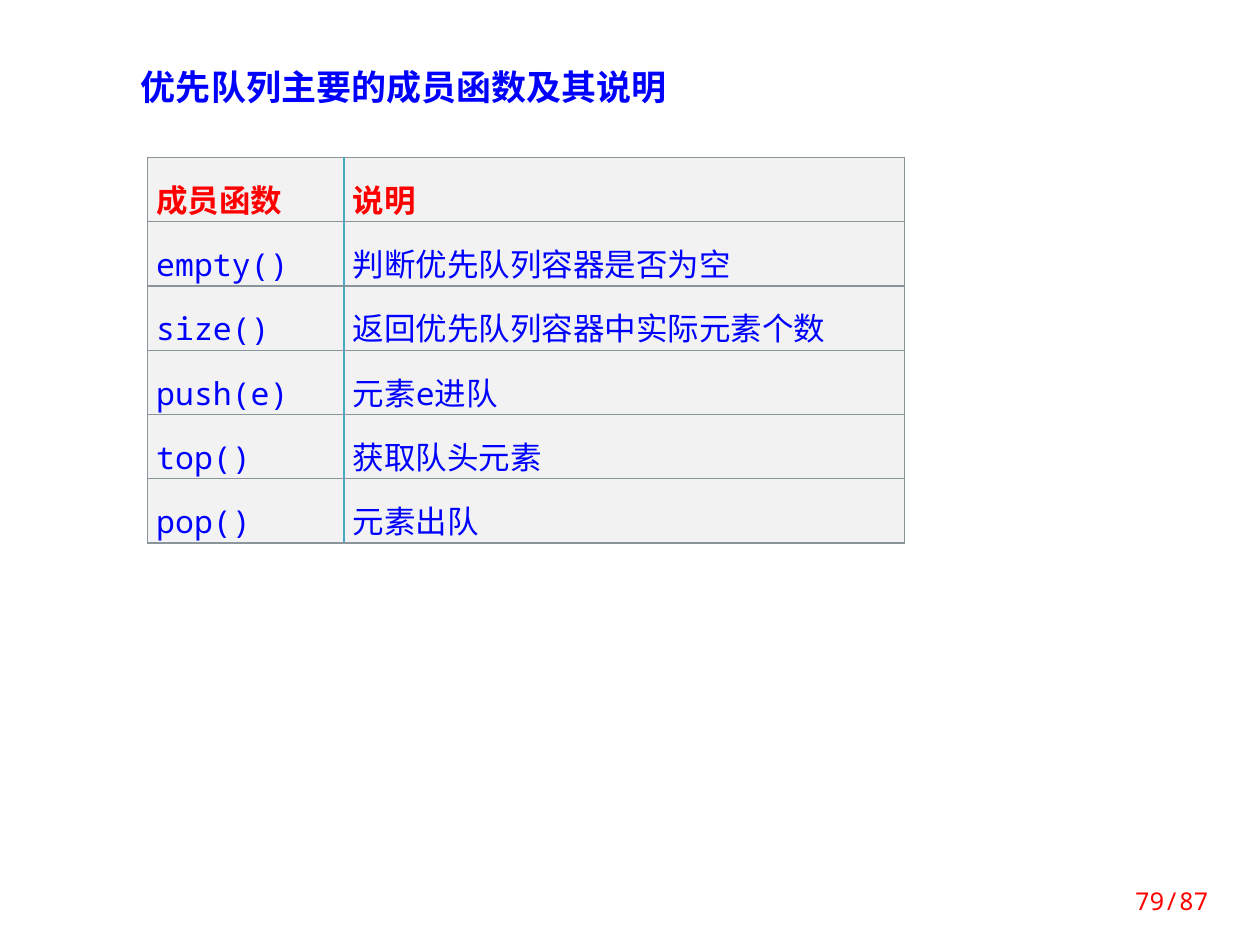
from dataclasses import dataclass

from lxml import etree
from pptx import Presentation
from pptx import util as u
from pptx.dml.color import RGBColor
from pptx.enum import text
from pptx.oxml.ns import qn


@dataclass(frozen=True)
class Theme:
    font: str = "Noto Sans Mono"
    blue: str = "0000FF"
    red: str = "FF0000"
    cell: str = "F2F2F2"
    frame: str = "8A9599"
    divider: str = "46AAC5"
    title_size: int = 20
    table_size: int = 18
    page_size: int = 14


theme = Theme()


def style_text(paragraph, size, color, bold=False):
    for run in paragraph.runs:
        run.font.name = theme.font
        run.font.size = u.Pt(size)
        run.font.bold = bold
        run.font.color.rgb = RGBColor.from_string(color)
        east_asian = etree.SubElement(run.font._element, qn("a:ea"))
        east_asian.set("typeface", theme.font)


def set_border(cell, side, color):
    properties = cell._tc.get_or_add_tcPr()
    line = etree.SubElement(properties, qn(f"a:{side}"), w=str(u.Pt(0.75)))
    fill = etree.SubElement(line, qn("a:solidFill"))
    etree.SubElement(fill, qn("a:srgbClr"), val=color)


presentation = Presentation()
presentation.slide_width = u.Inches(10)
presentation.slide_height = u.Inches(7.5)
slide = presentation.slides.add_slide(presentation.slide_layouts[6])

title = slide.shapes.add_textbox(u.Inches(1.02), u.Inches(0.47), u.Inches(4.61), u.Inches(0.44))
title.text_frame.word_wrap = True
title.text_frame.text = "优先队列主要的成员函数及其说明"
style_text(title.text_frame.paragraphs[0], theme.title_size, theme.blue, bold=True)

rows = [
    ("成员函数", "说明"),
    ("empty()", "判断优先队列容器是否为空"),
    ("size()", "返回优先队列容器中实际元素个数"),
    ("push(e)", "元素e进队"),
    ("top()", "获取队头元素"),
    ("pop()", "元素出队"),
]
column_widths = [1.56, 4.45]
row_height = 0.51

table = slide.shapes.add_table(
    len(rows), len(column_widths), u.Inches(1.17), u.Inches(1.25),
    u.Inches(sum(column_widths)), u.Inches(row_height * len(rows)),
).table
table.first_row = False
table.horz_banding = False
for column, width in zip(table.columns, column_widths):
    column.width = u.Inches(width)

for row_index, row in enumerate(rows):
    table.rows[row_index].height = u.Inches(row_height)
    is_header = row_index == 0
    for column_index, content in enumerate(row):
        cell = table.cell(row_index, column_index)
        cell.margin_left = cell.margin_right = u.Inches(0.07)
        cell.margin_top = cell.margin_bottom = 0
        cell.text_frame.text = content
        paragraph = cell.text_frame.paragraphs[0]
        paragraph.alignment = text.PP_ALIGN.JUSTIFY
        paragraph.line_spacing = 1.5
        style_text(paragraph, theme.table_size, theme.red if is_header else theme.blue, bold=is_header)
        set_border(cell, "lnL", theme.frame if column_index == 0 else theme.divider)
        set_border(cell, "lnR", theme.divider if column_index == 0 else theme.frame)
        set_border(cell, "lnT", theme.frame)
        set_border(cell, "lnB", theme.frame)
        cell.fill.solid()
        cell.fill.fore_color.rgb = RGBColor.from_string(theme.cell)

page_number = slide.shapes.add_textbox(u.Inches(8.67), u.Inches(6.95), u.Inches(1.02), u.Inches(0.4))
page_number.text_frame.word_wrap = True
page_number.text_frame.vertical_anchor = text.MSO_ANCHOR.MIDDLE
page_number.text_frame.text = "79/87"
page_number.text_frame.paragraphs[0].alignment = text.PP_ALIGN.RIGHT
style_text(page_number.text_frame.paragraphs[0], theme.page_size, theme.red)

presentation.save("out.pptx")
